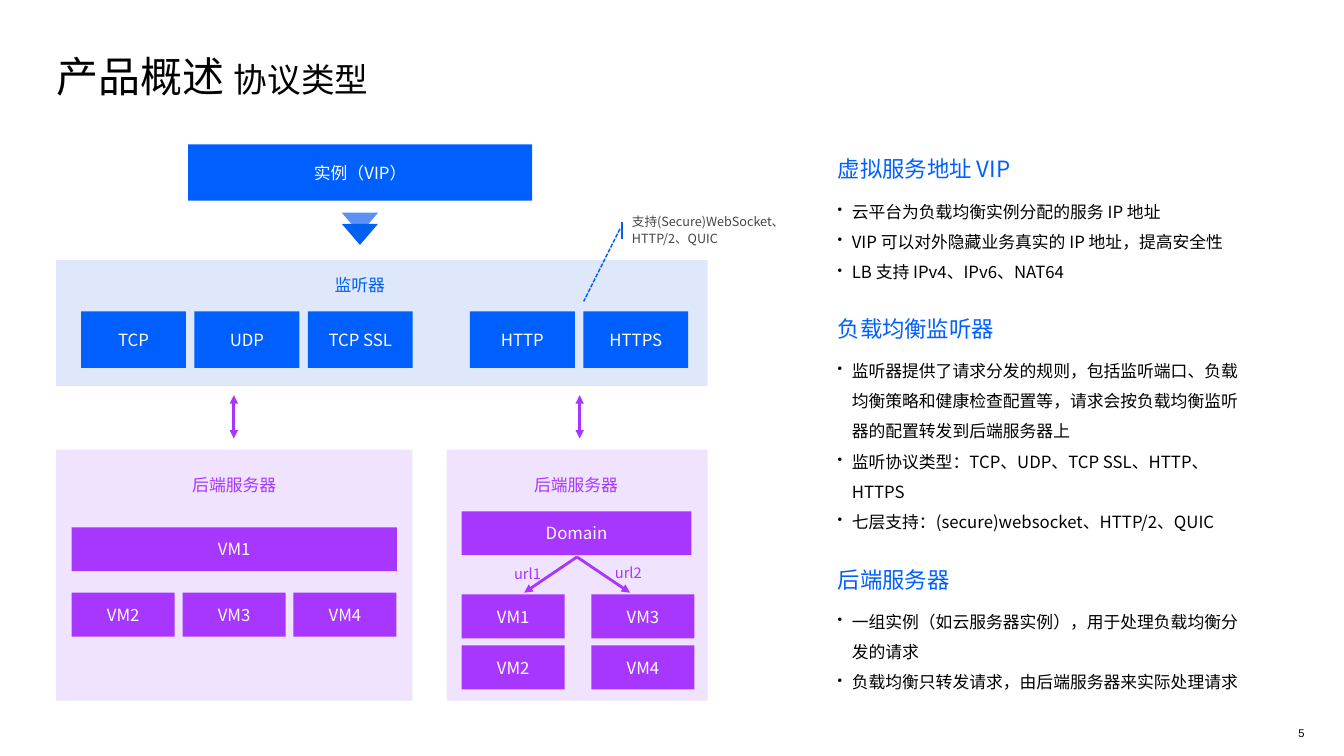
from dataclasses import dataclass
from typing import NamedTuple

from lxml.etree import SubElement
from pptx import Presentation
from pptx.dml.color import RGBColor
from pptx.enum.dml import MSO_LINE_DASH_STYLE as Dash
from pptx.enum.shapes import MSO_CONNECTOR as Connector, MSO_SHAPE as Shape
from pptx.enum.text import MSO_ANCHOR as Anchor, MSO_AUTO_SIZE as AutoSize, PP_ALIGN as Align
from pptx.oxml.ns import qn
from pptx.util import Inches, Pt

COLORS = {
    "blue": "0060FF", "deep_blue": "0060F0", "soft_blue": "5C90F6", "pale_blue": "DFE7FB",
    "purple": "A736FF", "pale_purple": "F0E3FE",
    "black": "000000", "gray": "444444", "white": "FEFDFF",
}
SANS = "Noto Sans CJK SC"
WIDTH, HEIGHT = Inches(13.33), Inches(7.5)


class Box(NamedTuple):
    """Left, top, width and height in percent of the slide."""
    left: float
    top: float
    width: float
    height: float


@dataclass
class Tile:
    text: str
    box: Box
    color: str


@dataclass
class Label:
    text: str
    box: Box
    color: str
    size: float = 12
    font: str = SANS


@dataclass
class Link:
    start: tuple[float, float]
    end: tuple[float, float]
    color: str = "purple"
    width: float = 2
    head: bool = False
    tail: bool = False
    dashed: bool = False


@dataclass
class Topic:
    heading: str
    top: float
    heading_width: float
    body_height: float
    points: list[str]


def across(share: float) -> int:
    return round(WIDTH * share / 100)


def down(share: float) -> int:
    return round(HEIGHT * share / 100)


def place(box: Box) -> tuple[int, int, int, int]:
    return across(box.left), down(box.top), across(box.width), down(box.height)


def rgb(name: str) -> RGBColor:
    return RGBColor.from_string(COLORS[name])


def add_run(paragraph, text: str, size: float, color: str, font: str = SANS) -> None:
    run = paragraph.add_run()
    run.text = text
    run.font.size = Pt(size)
    run.font.color.rgb = rgb(color)
    run.font.name = font
    SubElement(run.font._element, qn("a:ea"), typeface=font)


def set_frame(frame, inset: float = 0, anchor=Anchor.MIDDLE, wrap: bool = True) -> None:
    frame.margin_left = frame.margin_right = Inches(inset)
    frame.margin_top = frame.margin_bottom = Inches(inset)
    frame.vertical_anchor = anchor
    frame.word_wrap = wrap
    frame.auto_size = AutoSize.NONE


def add_text(slide, box: Box, **options):
    frame = slide.shapes.add_textbox(*place(box)).text_frame
    set_frame(frame, **options)
    return frame


def add_block(slide, box: Box, color: str, kind=Shape.RECTANGLE):
    block = slide.shapes.add_shape(kind, *place(box))
    block.shadow.inherit = False
    block.fill.solid()
    block.fill.fore_color.rgb = rgb(color)
    block.line.fill.background()
    return block


def add_tile(slide, tile: Tile) -> None:
    frame = add_block(slide, tile.box, tile.color).text_frame
    set_frame(frame)
    frame.paragraphs[0].alignment = Align.CENTER
    add_run(frame.paragraphs[0], tile.text, 12, "white")


def add_label(slide, label: Label) -> None:
    frame = add_text(slide, label.box, inset=0.06, wrap=False)
    frame.paragraphs[0].alignment = Align.CENTER
    add_run(frame.paragraphs[0], label.text, label.size, label.color, label.font)


def add_link(slide, link: Link) -> None:
    (x1, y1), (x2, y2) = link.start, link.end
    connector = slide.shapes.add_connector(
        Connector.STRAIGHT, across(x1), down(y1), across(x2), down(y2))
    connector.line.color.rgb = rgb(link.color)
    connector.line.width = Pt(link.width)
    if link.dashed:
        connector.line.dash_style = Dash.SQUARE_DOT
    outline = connector.line._get_or_add_ln()
    for wanted, end in ((link.head, "a:headEnd"), (link.tail, "a:tailEnd")):
        if wanted:
            SubElement(outline, qn(end), type="triangle")
    SubElement(connector._element.spPr, qn("a:effectLst"))


def add_topic(slide, topic: Topic) -> None:
    left = 62.33
    heading = add_text(slide, Box(left, topic.top, topic.heading_width, 4.8), wrap=False)
    heading.paragraphs[0].line_spacing = 1.5
    add_run(heading.paragraphs[0], topic.heading, 16, "blue")

    body = add_text(slide, Box(left, topic.top + 6.23, 30.38, topic.body_height), anchor=Anchor.TOP)
    for index, point in enumerate(topic.points):
        paragraph = body.add_paragraph() if index else body.paragraphs[0]
        properties = paragraph._p.get_or_add_pPr()
        properties.set("marL", str(Inches(0.14)))
        properties.set("indent", str(-Inches(0.14)))
        SubElement(properties, qn("a:buSzPct"), val="80000")
        SubElement(properties, qn("a:buChar"), char="•")
        paragraph.line_spacing = 1.5
        add_run(paragraph, point, 12, "black")


# Diagram content
PANELS = [
    (Box(4.17, 34.4, 48.48, 16.67), "pale_blue"),
    (Box(4.17, 59.47, 26.52, 33.2), "pale_purple"),
    (Box(33.23, 59.47, 19.42, 33.2), "pale_purple"),
]
TILES = [Tile("实例（VIP）", Box(14, 19.1, 25.6, 7.45), "blue")]
for first, protocols in ((6.03, ["TCP", "UDP", "TCP SSL"]), (34.97, ["HTTP", "HTTPS"])):
    TILES += [Tile(protocol, Box(first + 8.44 * col, 41.2, 7.8, 7.45), "blue")
              for col, protocol in enumerate(protocols)]
TILES += [Tile("VM1", Box(5.33, 69.75, 24.2, 5.8), "purple"),
          Tile("Domain", Box(34.35, 67.63, 17.1, 5.8), "purple")]
TILES += [Tile(f"VM{col + 2}", Box(5.33 + 8.25 * col, 78.4, 7.67, 5.8), "purple")
          for col in range(3)]
TILES += [Tile(f"VM{2 * col + row + 1}", Box(34.35 + 9.65 * col, 78.63 + 6.75 * row, 7.67, 5.8), "purple")
          for col in range(2) for row in range(2)]
LABELS = [
    Label("监听器", Box(24.45, 35.6, 4.65, 4.13), "deep_blue"),
    Label("后端服务器", Box(13.87, 62, 7.13, 4.13), "purple"),
    Label("后端服务器", Box(39.3, 62, 7.13, 4.13), "purple"),
    Label("url1", Box(37.75, 73.9, 3, 4), "purple", 10.5),
    Label("url2", Box(45.3, 73.7, 2.9, 4), "purple", 10.5),
    Label("5", Box(96.17, 95.33, 1.35, 3.33), "black", 8, "Arial"),
]
LINKS = [Link((x, 58), (x, 52.27), head=True, tail=True) for x in (17.4, 43.13)]
LINKS += [Link((x, 78.4), (42.93, 73.67), head=True) for x in (39, 46.88)]
LINKS += [Link((46.13, 30.27), (43.43, 39.87), "blue", 1, dashed=True),
          Link((46.28, 29.33), (46.28, 31.6), "deep_blue", 1)]

# Explanations in the right column
TOPICS = [
    Topic("虚拟服务地址 VIP", 19.07, 13.3, 11.6, [
        "云平台为负载均衡实例分配的服务 IP 地址",
        "VIP 可以对外隐藏业务真实的 IP 地址，提高安全性",
        "LB 支持 IPv4、IPv6、NAT64"]),
    Topic("负载均衡监听器", 40.13, 11.85, 23.73, [
        "监听器提供了请求分发的规则，包括监听端口、负载均衡策略和健康检查配置等，"
        "请求会按负载均衡监听器的配置转发到后端服务器上",
        "监听协议类型：TCP、UDP、TCP SSL、HTTP、HTTPS",
        "七层支持：(secure)websocket、HTTP/2、QUIC"]),
    Topic("后端服务器", 73.33, 8.45, 11.6, [
        "一组实例（如云服务器实例），用于处理负载均衡分发的请求",
        "负载均衡只转发请求，由后端服务器来实际处理请求"]),
]


def main() -> None:
    deck = Presentation()
    deck.slide_width, deck.slide_height = WIDTH, HEIGHT
    slide = deck.slides.add_slide(deck.slide_layouts[5])

    # Title
    title = slide.shapes.title
    title.left, title.top, title.width, title.height = place(Box(4.2, 5.33, 54.2, 7.47))
    set_frame(title.text_frame, anchor=Anchor.TOP)
    line = title.text_frame.paragraphs[0]
    line.alignment, line.line_spacing = Align.LEFT, 1.2
    for text, size in (("产品概述 ", 30), ("协议类型", 24)):
        add_run(line, text, size, "black", "Noto Sans CJK JP")

    # Diagram, from back to front
    for box, color in PANELS:
        add_block(slide, box, color)
    for top, color in ((28.13, "soft_blue"), (29.6, "deep_blue")):
        add_block(slide, Box(25.43, top, 2.7, 2.8), color, Shape.ISOSCELES_TRIANGLE).rotation = 180
    for tile in TILES:
        add_tile(slide, tile)
    for link in LINKS:
        add_link(slide, link)
    for label in LABELS:
        add_label(slide, label)

    # Callout beside HTTPS
    callout = add_text(slide, Box(46.8, 27.75, 12.6, 5.07), inset=0.03)
    callout.paragraphs[0].line_spacing = 1.1
    add_run(callout.paragraphs[0], "支持(Secure)WebSocket、HTTP/2、QUIC", 9, "gray")

    for topic in TOPICS:
        add_topic(slide, topic)
    deck.save("out.pptx")


if __name__ == "__main__":
    main()
